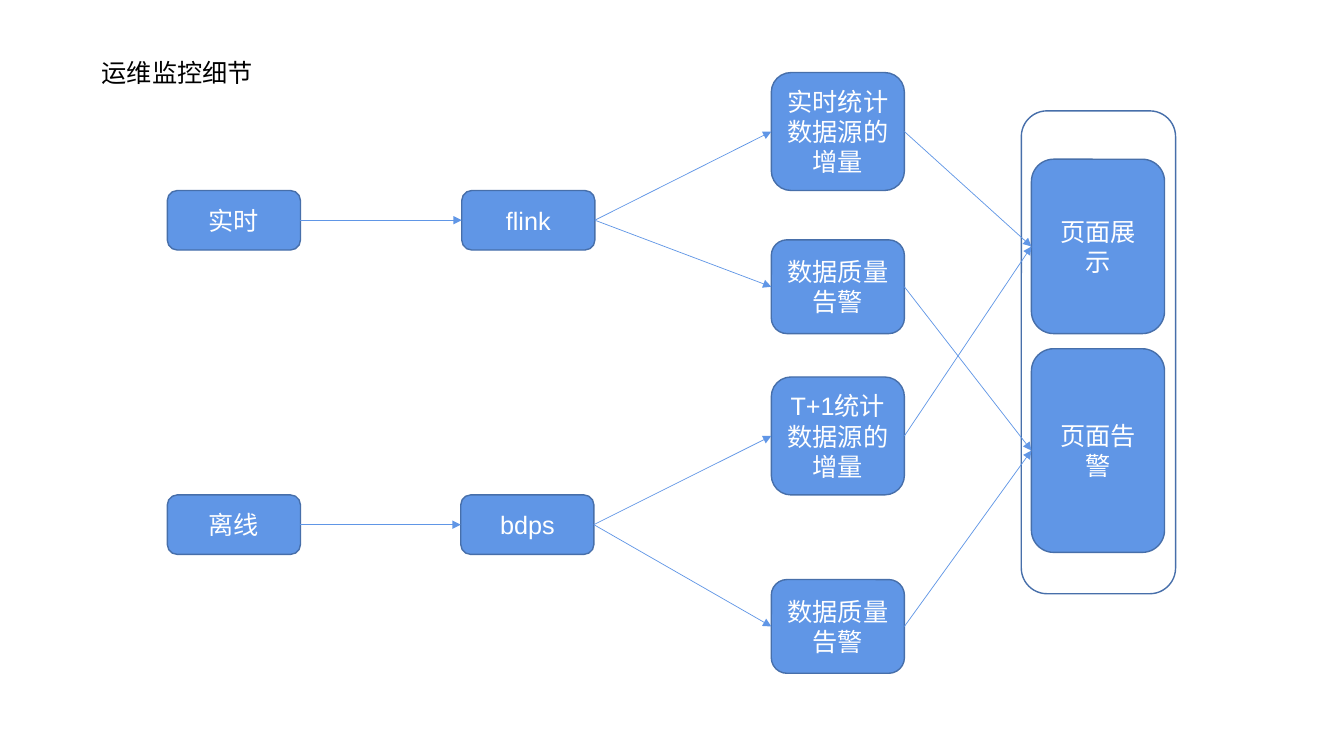
from pptx import Presentation
from pptx.dml.color import RGBColor
from pptx.enum.shapes import MSO_CONNECTOR, MSO_SHAPE
from pptx.enum.text import MSO_ANCHOR, MSO_AUTO_SIZE, PP_ALIGN
from pptx.oxml.ns import qn
from pptx.util import Inches, Pt
from lxml.etree import SubElement

BLUE = RGBColor(0x60, 0x96, 0xE6)
OUTLINE = RGBColor(0x47, 0x6F, 0xAA)
WHITE = RGBColor(0xFF, 0xFF, 0xFF)
BLACK = RGBColor(0x00, 0x00, 0x00)

LEFT_SITE, RIGHT_SITE = 1, 3  # connection sites of a rounded rectangle
NODE_WIDTH = 1.32


class FlowSlide:
    font = {"name": "Arial", "size": Pt(18)}

    def __init__(self, slide):
        self.shapes = slide.shapes

    def label(self, frame, text, color, align, anchor):
        frame.word_wrap = True
        frame.vertical_anchor = anchor
        paragraph = frame.paragraphs[0]
        paragraph.alignment = align
        run = paragraph.add_run()
        run.text = text
        for name, value in self.font.items():
            setattr(run.font, name, value)
        run.font.color.rgb = color

    def title(self, text, left, top, width, height):
        box = self.shapes.add_textbox(*map(Inches, (left, top, width, height)))
        self.label(box.text_frame, text, BLACK, PP_ALIGN.LEFT, MSO_ANCHOR.TOP)
        box.text_frame.auto_size = MSO_AUTO_SIZE.SHAPE_TO_FIT_TEXT

    def panel(self, left, top, width, height, fill=WHITE):
        box = self.shapes.add_shape(
            MSO_SHAPE.ROUNDED_RECTANGLE, *map(Inches, (left, top, width, height)))
        box.shadow.inherit = False
        box.fill.solid()
        box.fill.fore_color.rgb = fill
        box.line.color.rgb = OUTLINE
        box.line.width = Pt(1)
        return box

    def node(self, text, left, top, height):
        box = self.panel(left, top, NODE_WIDTH, height, BLUE)
        self.label(box.text_frame, text, WHITE, PP_ALIGN.CENTER, MSO_ANCHOR.MIDDLE)
        return box

    def arrow(self, source, target):
        link = self.shapes.add_connector(MSO_CONNECTOR.STRAIGHT, 0, 0, 0, 0)
        link.begin_connect(source, RIGHT_SITE)
        link.end_connect(target, LEFT_SITE)
        link.line.color.rgb = BLUE
        link.line.width = Pt(0.5)
        outline = link._element.spPr.find(qn("a:ln"))
        SubElement(outline, qn("a:tailEnd"), type="triangle")
        SubElement(link._element.spPr, qn("a:effectLst"))


deck = Presentation()
deck.slide_width, deck.slide_height = Inches(13.33), Inches(7.5)
flow = FlowSlide(deck.slides.add_slide(deck.slide_layouts[6]))

flow.title("运维监控细节", 0.91, 0.52, 3.11, 0.4)

# Outputs inside their frame
flow.panel(10.13, 1.1, 1.53, 4.79)
page_display = flow.node("页面展示", 10.23, 1.58, 1.73)
page_alert = flow.node("页面告警", 10.23, 3.46, 2.02)

# Real-time and offline branches: source, engine, then two checks
BRANCHES = [
    # source, engine, engine left, row top, statistics, top, quality top
    ("实时", "flink", 4.58, 1.89, "实时统计数据源的增量", 0.72, 2.38),
    ("离线", "bdps", 4.57, 4.91, "T+1统计数据源的增量", 3.74, 5.75),
]
for (source_name, engine_name, engine_left, row_top,
     statistics_name, statistics_top, quality_top) in BRANCHES:
    source = flow.node(source_name, 1.66, row_top, 0.59)
    engine = flow.node(engine_name, engine_left, row_top, 0.59)
    statistics = flow.node(statistics_name, 7.65, statistics_top, 1.17)
    quality = flow.node("数据质量告警", 7.65, quality_top, 0.93)
    for start, end in [(source, engine), (engine, statistics), (engine, quality),
                       (statistics, page_display), (quality, page_alert)]:
        flow.arrow(start, end)

deck.save("out.pptx")
